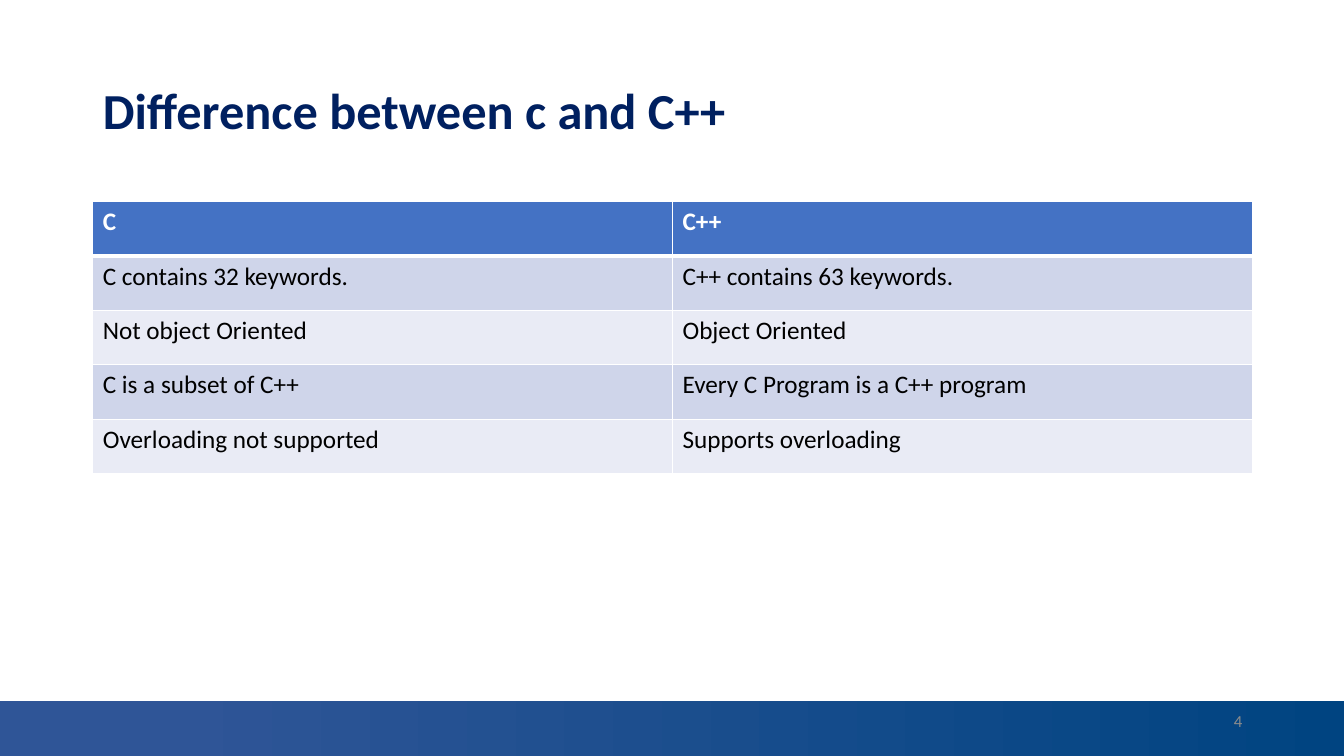
from lxml import etree
from pptx import Presentation
from pptx.dml.color import RGBColor
from pptx.enum.shapes import MSO_SHAPE as Shape
from pptx.enum.text import MSO_ANCHOR as Anchor, PP_ALIGN as Align
from pptx.oxml.ns import qn
from pptx.util import Inches, Pt

NAVY = RGBColor(0x00, 0x20, 0x60)
BAND_LEFT = RGBColor(0x2F, 0x55, 0x97)
BAND_RIGHT = RGBColor(0x00, 0x44, 0x81)
HEADER = RGBColor(0x44, 0x72, 0xC4)
ROW_DARK = RGBColor(0xCF, 0xD5, 0xEA)
ROW_LIGHT = RGBColor(0xE9, 0xEB, 0xF5)
GREY = RGBColor(0x8C, 0x8C, 0x8C)
WHITE = RGBColor(0xFF, 0xFF, 0xFF)
BLACK = RGBColor(0x00, 0x00, 0x00)

ROWS = [
    ("C", "C++"),
    ("C contains 32 keywords.", "C++ contains 63 keywords."),
    ("Not object Oriented", "Object Oriented"),
    ("C is a subset of C++", "Every C Program is a C++ program"),
    ("Overloading not supported", "Supports overloading"),
]


def write(frame, text, color, align=Align.LEFT, **font_values):
    para = frame.paragraphs[0]
    para.alignment = align
    span = para.add_run()
    span.text = text
    span.font.color.rgb = color
    for name, value in {"name": "Calibri", **font_values}.items():
        setattr(span.font, name, value)
    return para


def add_band(page, left, top, width, height):
    band = page.shapes.add_shape(Shape.RECTANGLE, left, top, width, height)
    band.shadow.inherit = False
    band.line.fill.background()
    band.fill.gradient()
    band.fill.gradient_angle = 0
    stops = ((0.13, BAND_LEFT), (1, BAND_RIGHT))
    for stop, (position, color) in zip(band.fill.gradient_stops, stops):
        stop.position = position
        stop.color.rgb = color


def add_title(page, left, top, width, height):
    title = page.shapes.title
    place = {"left": left, "top": top, "width": width, "height": height}
    for name, value in place.items():
        setattr(title, name, value)
    title.text_frame.vertical_anchor = Anchor.MIDDLE
    para = write(title.text_frame, "Difference between c and C++", NAVY,
                 size=Pt(36), bold=True)
    para.line_spacing = 0.9


def add_borders(cell, bottom_width, top_width):
    properties = cell._tc.get_or_add_tcPr()
    widths = {"a:lnL": 1, "a:lnR": 1, "a:lnT": top_width, "a:lnB": bottom_width}
    for tag, points in widths.items():
        line = etree.SubElement(properties, qn(tag), w=str(Pt(points)))
        fill = etree.SubElement(line, qn("a:solidFill"))
        etree.SubElement(fill, qn("a:srgbClr"), val=str(WHITE))


def add_comparison(page, left, top, width, height):
    table = page.shapes.add_table(len(ROWS), 2, left, top, width, height).table
    for row, texts in enumerate(ROWS):
        is_header = row == 0
        band_color = ROW_DARK if row % 2 else ROW_LIGHT
        for column, text in enumerate(texts):
            cell = table.cell(row, column)
            add_borders(cell, 3 if is_header else 1, 3 if row == 1 else 1)
            cell.fill.solid()
            cell.fill.fore_color.rgb = HEADER if is_header else band_color
            write(cell.text_frame, text, WHITE if is_header else BLACK,
                  size=Pt(18), bold=is_header)


def add_page_number(page, left, top, width, height):
    box = page.shapes.add_textbox(left, top, width, height)
    box.text_frame.word_wrap = True
    box.text_frame.vertical_anchor = Anchor.MIDDLE
    write(box.text_frame, "4", GREY, Align.RIGHT, size=Pt(12))


def main():
    deck = Presentation()
    deck.slide_width, deck.slide_height = Inches(13.33), Inches(7.5)
    page = deck.slides.add_slide(deck.slide_layouts[5])
    margin, content_width = Inches(0.92), Inches(11.5)
    band_top = Inches(6.95)

    # Footer band
    add_band(page, 0, band_top, deck.slide_width, deck.slide_height - band_top)
    # Title
    add_title(page, margin, Inches(0.4), content_width, Inches(1.45))
    # Comparison table
    add_comparison(page, margin, Inches(2), content_width, Inches(2.7))
    # Page number, flush with the right edge of the content
    number_width = Inches(3)
    add_page_number(page, margin + content_width - number_width, band_top,
                    number_width, Inches(0.4))

    deck.save("out.pptx")


if __name__ == "__main__":
    main()
